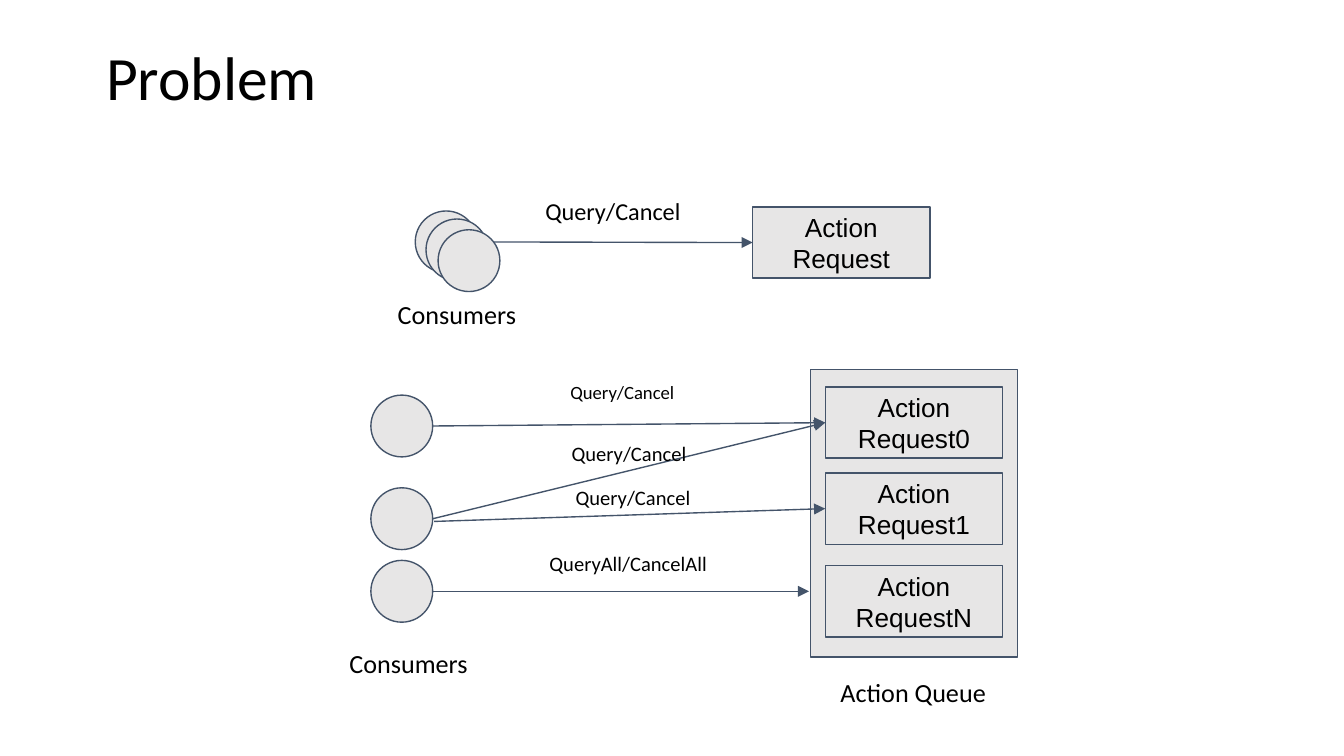
from lxml.etree import SubElement
from pptx import Presentation
from pptx.dml.color import RGBColor
from pptx.enum.shapes import MSO_CONNECTOR, MSO_SHAPE
from pptx.enum.text import MSO_ANCHOR, MSO_AUTO_SIZE, PP_ALIGN
from pptx.oxml.ns import qn
from pptx.util import Inches, Pt

TITLE = "Problem"
BLACK, GREY, NAVY = "000000", "E7E6E6", "44546A"
CIRCLE_SIZE = 0.46
REQUEST_SIZE = (1.32, 0.53)

QUEUE = (6.03, 2.75, 1.54, 2.14)
REQUESTS = {  # text: left, top
    "Action Request": (5.6, 1.54),
    "Action Request0": (6.14, 2.88),
    "Action Request1": (6.14, 3.52),
    "Action RequestN": (6.14, 4.21),
}
ARROWS = [  # start, request reached or free end point
    ((3.55, 1.8), "Action Request"),
    ((3.22, 3.17), "Action Request0"),
    ((3.22, 3.86), "Action Request0"),
    ((3.23, 3.88), "Action Request1"),
    ((3.22, 4.4), (6.02, 4.4)),
]
CONSUMERS = [(3.09, 1.57), (3.17, 1.63), (3.26, 1.71),
             (2.76, 2.94), (2.76, 3.63), (2.76, 4.17)]
LABELS = [  # text, left, top, width, height, size, alignment
    ("Query/Cancel", 3.96, 1.36, 1.22, 0.42, 13, PP_ALIGN.LEFT),
    ("Consumers", 2.79, 2.12, 1.22, 0.44, 14, PP_ALIGN.CENTER),
    ("Query/Cancel", 4.02, 2.75, 1.22, 0.37, 10, PP_ALIGN.CENTER),
    ("Query/Cancel", 4.07, 3.19, 1.22, 0.39, 11, PP_ALIGN.CENTER),
    ("Query/Cancel", 4.1, 3.52, 1.22, 0.39, 11, PP_ALIGN.CENTER),
    ("QueryAll/CancelAll", 3.96, 4.01, 1.43, 0.39, 11, PP_ALIGN.CENTER),
    ("Consumers", 2.43, 4.72, 1.22, 0.44, 14, PP_ALIGN.CENTER),
    ("Action Queue", 6.15, 4.93, 1.29, 0.44, 14, PP_ALIGN.CENTER),
]


def color(value):
    return RGBColor.from_string(value)


def inches(*values):
    return [Inches(value) for value in values]


def set_text(shape, text, size, font_name, alignment, margin=0.1):
    frame = shape.text_frame
    frame.text = text
    frame.word_wrap = True
    frame.margin_left = frame.margin_right = Inches(0.1)
    frame.margin_top = frame.margin_bottom = Inches(margin)
    paragraph = frame.paragraphs[0]
    paragraph.alignment = alignment
    font = paragraph.runs[0].font
    font.size = Pt(size)
    font.name = font_name
    font.color.rgb = color(BLACK)
    return frame


def set_line(shape):
    shape.line.color.rgb = color(NAVY)
    shape.line.width = Pt(0.75)


def add_outlined(slide, kind, left, top, width, height):
    shape = slide.shapes.add_shape(kind, *inches(left, top, width, height))
    shape.shadow.inherit = False
    shape.fill.solid()
    shape.fill.fore_color.rgb = color(GREY)
    set_line(shape)
    return shape


def add_arrow(slide, start, target, requests):
    """Draw an arrow to a request's left side, or to a free point."""
    end = start if target in requests else target
    arrow = slide.shapes.add_connector(MSO_CONNECTOR.STRAIGHT, *inches(*start, *end))
    if target in requests:
        arrow.end_connect(requests[target], 1)
    set_line(arrow)
    properties = arrow._element.spPr
    SubElement(properties.find(qn("a:ln")), qn("a:tailEnd"), type="triangle")
    SubElement(properties, qn("a:effectLst"))


def main():
    presentation = Presentation()
    presentation.slide_width = Inches(10)
    presentation.slide_height = Inches(10 * 9 / 16)
    slide = presentation.slides.add_slide(presentation.slide_layouts[5])

    title = slide.shapes.title
    title.left, title.top, title.width, title.height = inches(0.69, 0.3, 8.62, 0.77)
    frame = set_text(title, TITLE, 33, "Calibri", PP_ALIGN.LEFT, margin=0.05)
    frame.vertical_anchor = MSO_ANCHOR.TOP
    frame.auto_size = MSO_AUTO_SIZE.NONE
    frame.paragraphs[0].line_spacing = 0.9

    add_outlined(slide, MSO_SHAPE.RECTANGLE, *QUEUE)
    requests = {}
    for text, position in REQUESTS.items():
        request = add_outlined(slide, MSO_SHAPE.RECTANGLE, *position, *REQUEST_SIZE)
        frame = set_text(request, text, 14, "Arial", PP_ALIGN.CENTER)
        frame.vertical_anchor = MSO_ANCHOR.MIDDLE
        requests[text] = request

    for start, target in ARROWS:
        add_arrow(slide, start, target, requests)
    for position in CONSUMERS:
        add_outlined(slide, MSO_SHAPE.OVAL, *position, CIRCLE_SIZE, CIRCLE_SIZE)

    for text, left, top, width, height, size, alignment in LABELS:
        label = slide.shapes.add_textbox(*inches(left, top, width, height))
        frame = set_text(label, text, size, "Calibri", alignment)
        frame.auto_size = MSO_AUTO_SIZE.SHAPE_TO_FIT_TEXT

    presentation.save("out.pptx")


if __name__ == "__main__":
    main()
